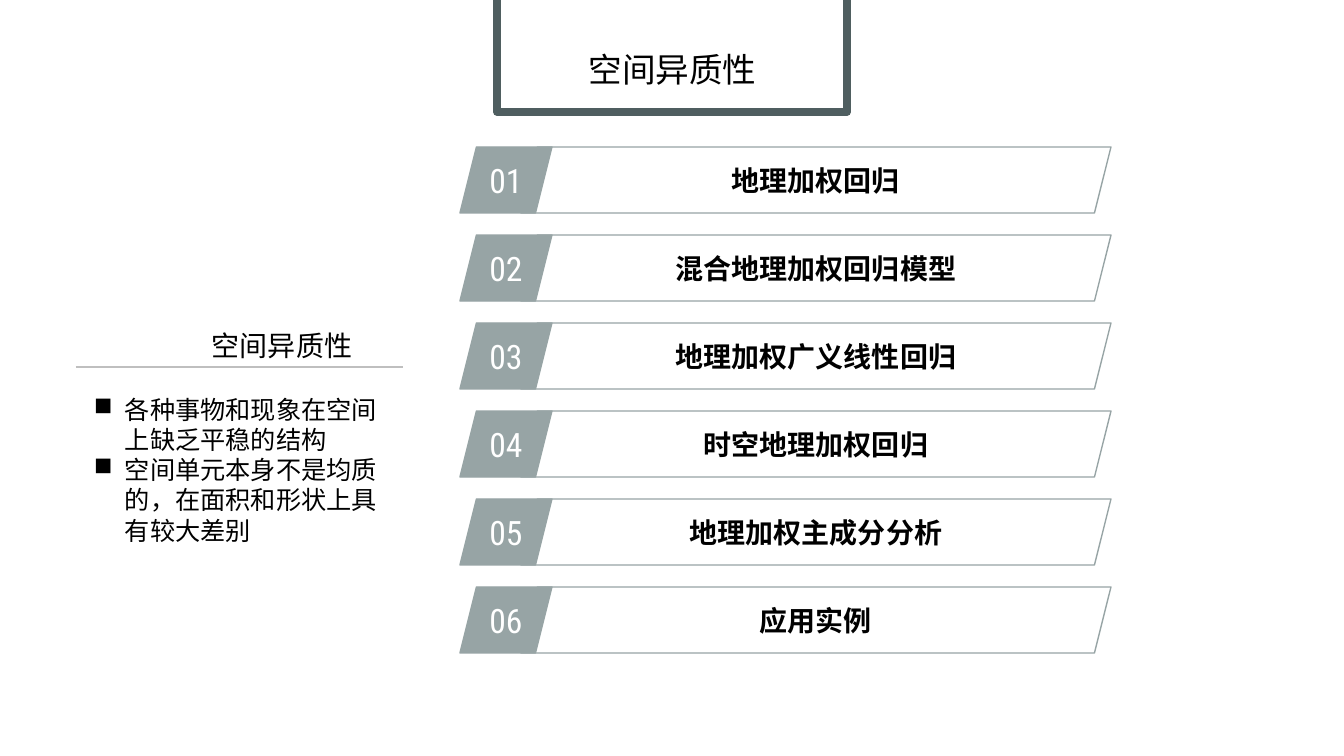
from lxml.etree import SubElement
from pptx import Presentation
from pptx.dml.color import RGBColor
from pptx.enum.lang import MSO_LANGUAGE_ID
from pptx.enum.shapes import MSO_CONNECTOR, MSO_SHAPE
from pptx.enum.text import MSO_ANCHOR, PP_ALIGN
from pptx.oxml.ns import qn
from pptx.util import Emu, Pt

EMU_PER_PX = 914400 / 100.8
COLORS = {
    "white": "FFFFFF",
    "black": "000000",
    "frame": "4F5E60",
    "topic": "97A4A5",
    "rule": "BFBFBF",
}
HEADING_FONT = "Noto Sans CJK SC"
BODY_FONT = "Calibri"
NUMBER_FONT = "Roboto Condensed"

CONCEPT = "空间异质性"
FEATURES = [
    "各种事物和现象在空间上缺乏平稳的结构",
    "空间单元本身不是均质的，在面积和形状上具有较大差别",
]
TOPICS = [
    "地理加权回归",
    "混合地理加权回归模型",
    "地理加权广义线性回归",
    "时空地理加权回归",
    "地理加权主成分分析",
    "应用实例",
]
TOPIC_TOP = 147
TOPIC_PITCH = 88
TOPIC_HEIGHT = 66
BULLET_INDENT = 31


def px(length):
    return Emu(round(length * EMU_PER_PX))


def color(name):
    return RGBColor.from_string(COLORS[name])


def add_bullet(paragraph):
    properties = paragraph._p.get_or_add_pPr()
    properties.set("marL", str(px(BULLET_INDENT)))
    properties.set("indent", str(-px(BULLET_INDENT)))
    SubElement(properties, qn("a:buChar")).set("char", "■")


def write_text(shape, lines, *, size, font, ink="black", bold=False, wrap=True,
               align=PP_ALIGN.LEFT, anchor=MSO_ANCHOR.TOP, spacing=None, bulleted=False):
    frame = shape.text_frame
    frame.word_wrap = wrap
    frame.vertical_anchor = anchor
    for index, line in enumerate(lines):
        paragraph = frame.add_paragraph() if index else frame.paragraphs[0]
        if bulleted:
            add_bullet(paragraph)
        paragraph.alignment = align
        if spacing:
            paragraph.line_spacing = spacing
        run = paragraph.add_run()
        run.text = line
        run.font.size = Pt(size)
        run.font.bold = bold
        run.font.name = font
        run.font.color.rgb = color(ink)
        run.font.language_id = MSO_LANGUAGE_ID.SIMPLIFIED_CHINESE
        SubElement(run.font._element, qn("a:ea")).set("typeface", font)


def add_outline(slide, preset, left, top, width, height, *, line, weight, fill=None):
    outline = slide.shapes.add_shape(preset, px(left), px(top), px(width), px(height))
    outline.shadow.inherit = False
    if fill:
        outline.fill.solid()
        outline.fill.fore_color.rgb = color(fill)
    else:
        outline.fill.background()
    outline.line.color.rgb = color(line)
    outline.line.width = Pt(weight)
    return outline


def add_label(slide, left, top, width, height, lines, **text_format):
    label = slide.shapes.add_textbox(px(left), px(top), px(width), px(height))
    write_text(label, lines, **text_format)


def add_rule(slide, left, right, y):
    rule = slide.shapes.add_connector(MSO_CONNECTOR.STRAIGHT, px(left), px(y), px(right), px(y))
    rule.line.color.rgb = color("rule")
    rule.line.width = Pt(1.5)
    SubElement(rule._element.spPr, qn("a:effectLst"))


def add_topic(slide, number, topic):
    top = TOPIC_TOP + TOPIC_PITCH * (number - 1)
    badge = add_outline(slide, MSO_SHAPE.PARALLELOGRAM, 460, top, 92, TOPIC_HEIGHT,
                        line="topic", weight=1, fill="topic")
    write_text(badge, [f"{number:02}"], size=24, font=NUMBER_FONT, ink="white",
               wrap=False, align=PP_ALIGN.CENTER, anchor=MSO_ANCHOR.MIDDLE)
    bar = add_outline(slide, MSO_SHAPE.PARALLELOGRAM, 521, top, 590, TOPIC_HEIGHT,
                      line="topic", weight=1)
    write_text(bar, [topic], size=20, font=BODY_FONT, bold=True,
               align=PP_ALIGN.CENTER, anchor=MSO_ANCHOR.MIDDLE)


def main():
    presentation = Presentation()
    presentation.slide_width = px(1344)
    presentation.slide_height = px(756)
    slide = presentation.slides.add_slide(presentation.slide_layouts[6])

    add_outline(slide, MSO_SHAPE.RECTANGLE, 497, -60, 350, 172,
                line="frame", weight=5.5, fill="white")
    add_label(slide, 510, 25, 325, 70, [CONCEPT], size=24, font=HEADING_FONT,
              align=PP_ALIGN.CENTER, anchor=MSO_ANCHOR.BOTTOM, spacing=0.9)

    add_rule(slide, 76, 403, 367)
    add_label(slide, 202, 256, 241, 111, [CONCEPT], size=20, font=HEADING_FONT,
              anchor=MSO_ANCHOR.BOTTOM)
    add_label(slide, 84, 389, 319, 163, FEATURES, size=18, font=BODY_FONT, bulleted=True)

    for number, topic in enumerate(TOPICS, 1):
        add_topic(slide, number, topic)

    presentation.save("out.pptx")


if __name__ == "__main__":
    main()
